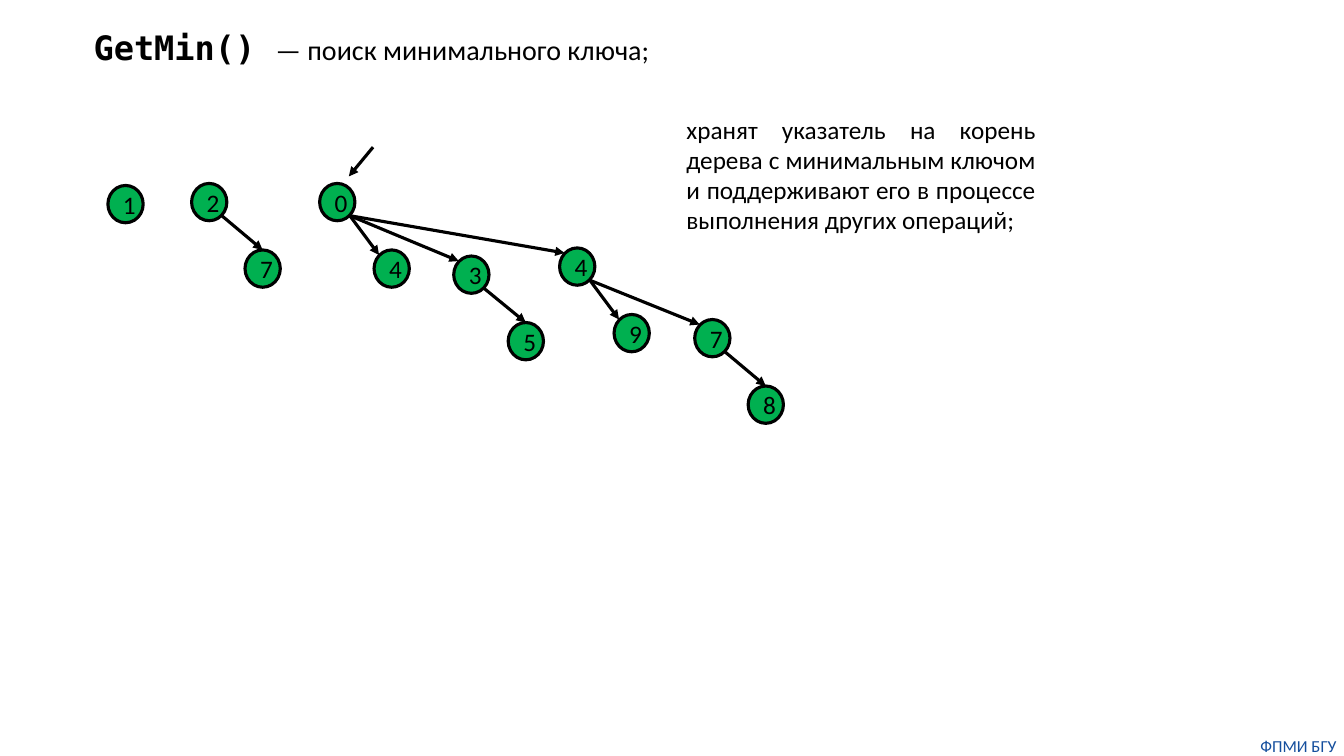
from lxml import etree
from pptx import Presentation
from pptx.dml.color import RGBColor
from pptx.enum.shapes import MSO_CONNECTOR as Connector, MSO_SHAPE as Shape
from pptx.enum.text import MSO_ANCHOR as Anchor, MSO_AUTO_SIZE as AutoSize, PP_ALIGN as Align
from pptx.oxml.ns import qn
from pptx.util import Inches, Pt

COLORS = {"ink": "000000", "node": "00B050", "footer": "144E9D"}
NODE_WIDTH, NODE_HEIGHT = 0.35, 0.37
LOWER_RIGHT = (0.3, 0.32)
UPPER_LEFT = (0.05, 0.05)
TOP_SITE = 0

# name: (key, left, top)
NODES = {
    "single": ("1", 1.07, 1.84),
    "pair root": ("2", 1.9, 1.82),
    "pair leaf": ("7", 2.43, 2.48),
    "root": ("0", 3.17, 1.82),
    "first": ("4", 3.71, 2.48),
    "second": ("3", 4.5, 2.54),
    "second leaf": ("5", 5.04, 3.2),
    "third": ("4", 5.55, 2.46),
    "third first": ("9", 6.09, 3.12),
    "third second": ("7", 6.89, 3.17),
    "third leaf": ("8", 7.42, 3.83),
}

# Edges to an only child end at its top, the others at its upper left
ONLY_CHILD_EDGES = [("pair root", "pair leaf"), ("second", "second leaf"),
                    ("third second", "third leaf")]
SIBLING_EDGES = [("root", "first"), ("root", "second"), ("root", "third"),
                 ("third", "third first"), ("third", "third second")]


class SlideBuilder:
    def __init__(self, page):
        self.page = page

    def color(self, name):
        return RGBColor.from_string(COLORS[name])

    def add_span(self, para, text, size, color="ink", font="Calibri", bold=False):
        span = para.add_run()
        span.text = text
        for name, value in {"name": font, "size": Pt(size), "bold": bold}.items():
            setattr(span.font, name, value)
        span.font.color.rgb = self.color(color)

    def outline(self, line):
        line.color.rgb = self.color("ink")
        line.width = Pt(2.25)

    def text_box(self, left, top, width, height, spans, align=Align.LEFT, **frame):
        box = self.page.shapes.add_textbox(*map(Inches, (left, top, width, height)))
        settings = {"word_wrap": True, "auto_size": AutoSize.SHAPE_TO_FIT_TEXT, **frame}
        for name, value in settings.items():
            setattr(box.text_frame, name, value)
        para = box.text_frame.paragraphs[0]
        para.alignment = align
        for span in spans:
            self.add_span(para, **span)

    def node(self, key, left, top):
        circle = self.page.shapes.add_shape(
            Shape.OVAL, *map(Inches, (left, top, NODE_WIDTH, NODE_HEIGHT)))
        circle.shadow.inherit = False
        circle.fill.solid()
        circle.fill.fore_color.rgb = self.color("node")
        self.outline(circle.line)
        circle.text_frame.vertical_anchor = Anchor.MIDDLE
        para = circle.text_frame.paragraphs[0]
        para.alignment = Align.CENTER
        self.add_span(para, key, 18)
        return circle

    def arrow(self, start, end):
        link = self.page.shapes.add_connector(
            Connector.STRAIGHT, *map(Inches, (*start, *end)))
        self.outline(link.line)
        properties = link._element.spPr
        etree.SubElement(properties.find(qn("a:ln")), qn("a:tailEnd"), type="triangle")
        etree.SubElement(properties, qn("a:effectLst"))
        return link


def node_point(name, offset):
    _, left, top = NODES[name]
    return left + offset[0], top + offset[1]


def main():
    deck = Presentation()
    deck.slide_width, deck.slide_height = Inches(13.33), Inches(7.5)
    builder = SlideBuilder(deck.slides.add_slide(deck.slide_layouts[6]))

    # Footer
    no_margins = dict.fromkeys(
        ("margin_left", "margin_top", "margin_right", "margin_bottom"), 0)
    builder.text_box(12.43, 7.3, 0.9, 0.2,
                     [{"text": "ФПМИ БГУ", "size": 12, "color": "footer"}],
                     Align.CENTER, **no_margins)

    # Heading and explanation
    builder.text_box(0.83, 0.22, 5.84, 0.5, [
        {"text": "GetMin() ", "size": 24, "font": "DejaVu Sans Mono", "bold": True},
        {"text": "— поиск минимального ключа;", "size": 20},
    ])
    builder.text_box(6.71, 1.08, 3.66, 1.31, [
        {"text": "хранят указатель на корень дерева с минимальным ключом "
                 "и поддерживают его в процессе выполнения других операций;",
         "size": 18},
    ], Align.JUSTIFY)

    # Trees of the heap
    circles = {name: builder.node(*node) for name, node in NODES.items()}
    for parent, child in ONLY_CHILD_EDGES:
        link = builder.arrow(node_point(parent, LOWER_RIGHT),
                             node_point(child, (NODE_WIDTH / 2, 0)))
        link.end_connect(circles[child], TOP_SITE)
    for parent, child in SIBLING_EDGES:
        builder.arrow(node_point(parent, LOWER_RIGHT), node_point(child, UPPER_LEFT))

    # Pointer to the minimum
    builder.arrow((3.7, 1.46), (3.46, 1.75))

    deck.save("out.pptx")


if __name__ == "__main__":
    main()
